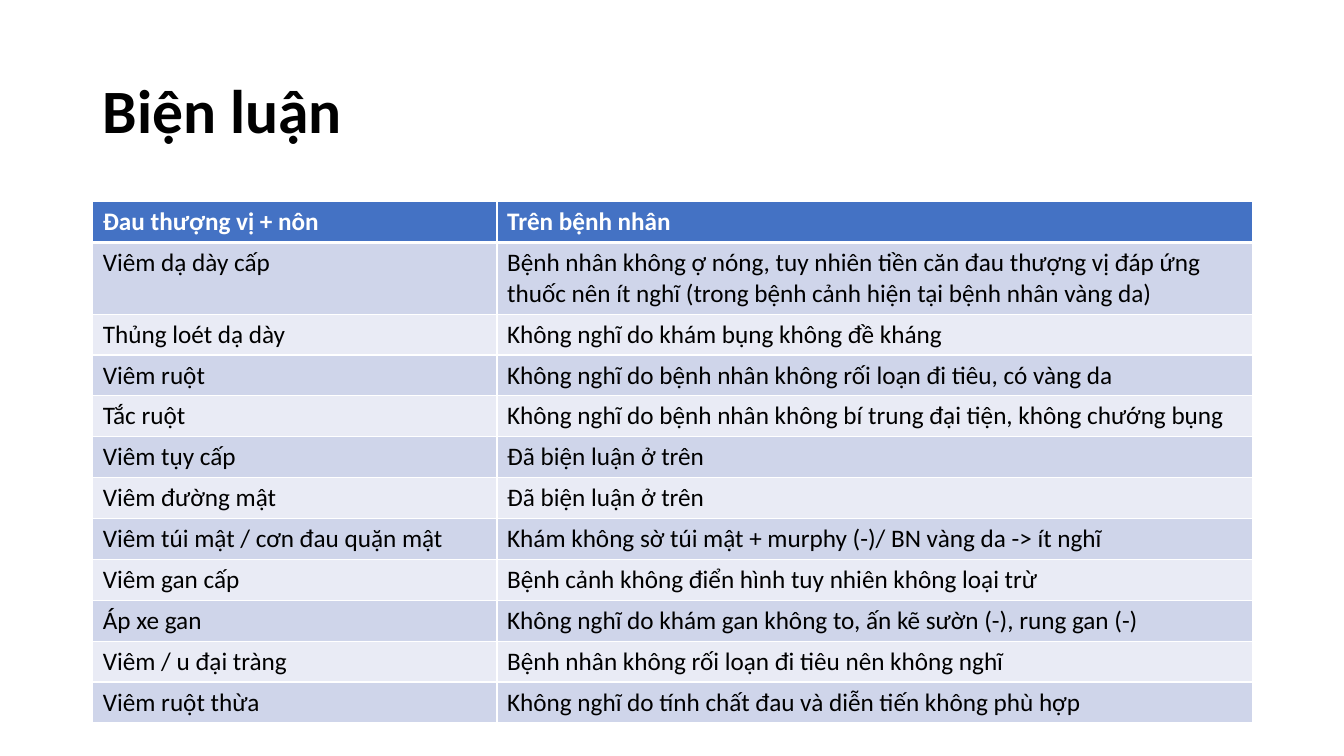
"""Build the differential diagnosis slide: a title above a two-column table."""
from lxml import etree
from pptx import Presentation, util as u
from pptx.dml.color import RGBColor
from pptx.enum import text
from pptx.oxml import ns


def style(p, size, color, bold):
    for r in p.runs:
        r.font.name = "Calibri"
        r.font.size = u.Pt(size)
        r.font.bold = bold
        r.font.color.rgb = RGBColor.from_string(color)


def border(cell, side, width):
    ln = etree.SubElement(cell._tc.get_or_add_tcPr(), ns.qn(f"a:ln{side}"), w=str(u.Pt(width)))
    fill = etree.SubElement(ln, ns.qn("a:solidFill"))
    etree.SubElement(fill, ns.qn("a:srgbClr"), val="FFFFFF")


rows = [
    ("Đau thượng vị + nôn", "Trên bệnh nhân"),
    ("Viêm dạ dày cấp",
     "Bệnh nhân không ợ nóng, tuy nhiên tiền căn đau thượng vị đáp ứng thuốc nên ít nghĩ "
     "(trong bệnh cảnh hiện tại bệnh nhân vàng da)"),
    ("Thủng loét dạ dày", "Không nghĩ do khám bụng không đề kháng"),
    ("Viêm ruột", "Không nghĩ do bệnh nhân không rối loạn đi tiêu, có vàng da"),
    ("Tắc ruột", "Không nghĩ do bệnh nhân không bí trung đại tiện, không chướng bụng"),
    ("Viêm tụy cấp", "Đã biện luận ở trên"),
    ("Viêm đường mật", "Đã biện luận ở trên"),
    ("Viêm túi mật / cơn đau quặn mật",
     "Khám không sờ túi mật + murphy (-)/ BN vàng da -> ít nghĩ"),
    ("Viêm gan cấp", "Bệnh cảnh không điển hình tuy nhiên không loại trừ"),
    ("Áp xe gan", "Không nghĩ do khám gan không to, ấn kẽ sườn (-), rung gan (-)"),
    ("Viêm / u đại tràng", "Bệnh nhân không rối loạn đi tiêu nên không nghĩ"),
    ("Viêm ruột thừa", "Không nghĩ do tính chất đau và diễn tiến không phù hợp"),
]

prs = Presentation()
prs.slide_width, prs.slide_height = u.Inches(13.33), u.Inches(7.5)
s = prs.slides.add_slide(prs.slide_layouts[5])
left, width = u.Inches(0.92), u.Inches(11.5)

title = s.shapes.title
title.left, title.top, title.width, title.height = left, u.Inches(0.4), width, u.Inches(1.45)
tf = title.text_frame
tf.text = "Biện luận"
tf.vertical_anchor = text.MSO_ANCHOR.MIDDLE
p = tf.paragraphs[0]
p.alignment = text.PP_ALIGN.LEFT
p.line_spacing = 0.9
style(p, 44, "000000", True)

table_height, tall_row = u.Inches(5.16), u.Inches(0.7)
row_height = (table_height - tall_row) // (len(rows) - 1)
table = s.shapes.add_table(len(rows), 2, left, u.Inches(2), width, table_height).table
table.columns[0].width = u.Inches(4.01)
table.columns[1].width = width - table.columns[0].width

for i, row in enumerate(rows):
    header = i == 0
    table.rows[i].height = tall_row if i == 1 else row_height
    fill = "4472C4" if header else "CFD5EA" if i % 2 else "E9EBF5"
    for j, words in enumerate(row):
        cell = table.cell(i, j)
        cell.text_frame.text = words
        style(cell.text_frame.paragraphs[0], 18, "FFFFFF" if header else "000000", header)
        for side in "LRTB":
            thick = (side == "B" and header) or (side == "T" and i == 1)
            border(cell, side, 3 if thick else 1)
        cell.fill.solid()
        cell.fill.fore_color.rgb = RGBColor.from_string(fill)

prs.save("out.pptx")
